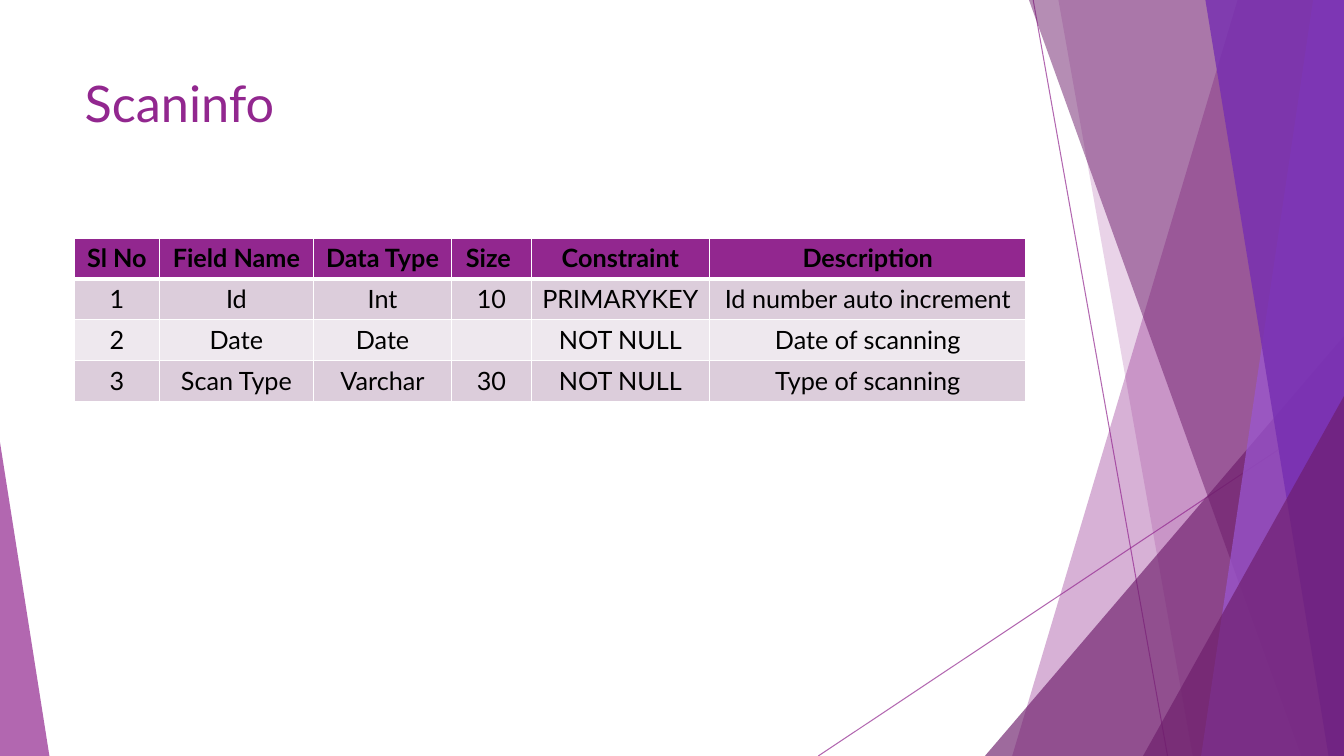
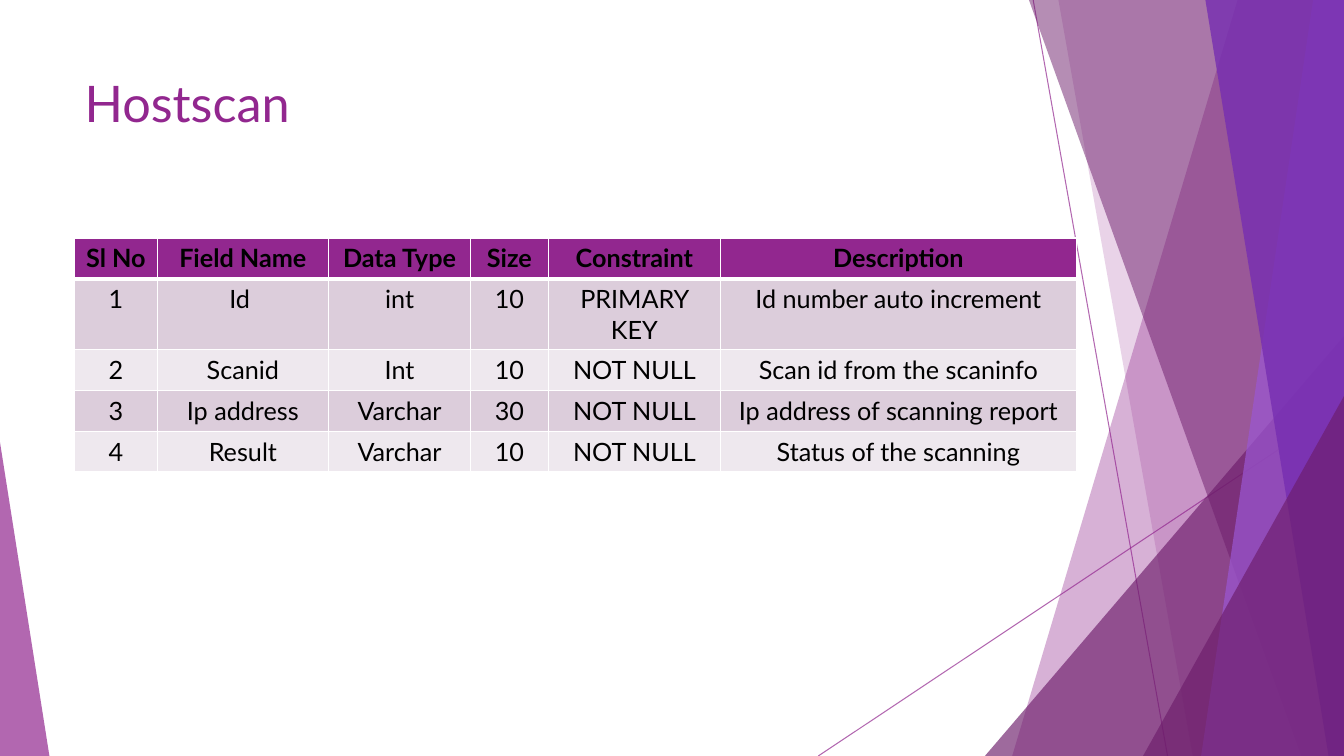
from pptx import Presentation
from pptx.dml.color import RGBColor
from pptx.enum.shapes import MSO_CONNECTOR as CONN, MSO_SHAPE as SHAPE
from pptx.enum.text import MSO_ANCHOR as ANCHOR, PP_ALIGN as ALIGN
from pptx.oxml.ns import qn
from pptx.util import Pt
from lxml.etree import SubElement

WIDTH, HEIGHT = 960, 540
LEFT = 53.3
ROW_HEIGHT = 29.2
COLORS = {
    "purple": "92278F",
    "plum": "6D1D6B",
    "lilac": "9B57D3",
    "violet": "762EB1",
    "odd_row": "DCCDDB",
    "even_row": "EEE8EE",
    "white": "FFFFFF",
    "black": "000000",
}


def rgb(name):
    """Return the named colour."""
    return RGBColor.from_string(COLORS[name])


def set_opacity(shape, percent):
    """Make every colour of the shape's fill and line partly transparent."""
    for color in shape.element.spPr.iter(qn("a:srgbClr")):
        SubElement(color, qn("a:alpha")).set("val", str(percent * 1000))


class Deck:
    """Shared style and the slide being built."""

    font = "Lato"
    title_size = 36
    cell_size = 18

    def __init__(self):
        self.prs = Presentation()
        self.prs.slide_width, self.prs.slide_height = Pt(WIDTH), Pt(HEIGHT)
        self.s = None

    def style_runs(self, p, size, color, bold=False):
        """Format all runs of a paragraph."""
        for r in p.runs:
            r.font.name, r.font.size, r.font.bold = self.font, Pt(size), bold
            r.font.color.rgb = rgb(color)

    def paint(self, sp, color, opacity):
        """Give a shape a flat translucent fill without outline or shadow."""
        sp.shadow.inherit = False
        sp.fill.solid()
        sp.fill.fore_color.rgb = rgb(color)
        sp.line.fill.background()
        set_opacity(sp, opacity)

    def thin_line(self, x1, y1, x2, y2):
        """Draw a fine translucent line."""
        line = self.s.shapes.add_connector(CONN.STRAIGHT, Pt(x1), Pt(y1), Pt(x2), Pt(y2))
        line.line.width = Pt(0.75)
        line.line.color.rgb = rgb("purple")
        set_opacity(line, 70)
        SubElement(line.element.spPr, qn("a:effectLst"))

    def band(self, top_x, bottom_x, color, opacity):
        """Fill from a slanted left edge to the right edge of the slide."""
        builder = self.s.shapes.build_freeform(Pt(top_x), 0)
        corners = [(WIDTH, 0), (WIDTH, HEIGHT), (bottom_x, HEIGHT)]
        builder.add_line_segments([(Pt(x), Pt(y)) for x, y in corners], close=True)
        self.paint(builder.convert_to_shape(), color, opacity)

    def corner(self, x, y, width, apex, color, opacity):
        """Draw a triangle standing on the bottom edge of the slide."""
        sp = self.s.shapes.add_shape(
            SHAPE.ISOSCELES_TRIANGLE, Pt(x), Pt(y), Pt(width), Pt(HEIGHT - y))
        sp.adjustments[0] = apex
        self.paint(sp, color, opacity)

    def backdrop(self):
        """Draw the facets shared by all slides, back to front."""
        self.thin_line(738, 0, 834, HEIGHT)
        self.thin_line(WIDTH, 290, 584.5, HEIGHT)
        self.band(884, 723, "purple", 36)
        self.band(756, 852, "purple", 20)
        self.corner(703.5, 240, WIDTH - 703.5, 1, "plum", 66)
        self.band(735, 929.5, "plum", 50)
        self.band(938, 858, "lilac", 70)
        self.band(861, 949, "violet", 80)
        self.corner(816.5, 283, WIDTH - 816.5, 1, "plum", 66)
        self.corner(0, 316, 35.3, 0, "purple", 70)

    def new_slide(self, title):
        """Start a slide with backdrop and title."""
        self.s = self.prs.slides.add_slide(self.prs.slide_layouts[5])
        self.backdrop()
        sp = self.s.shapes.title
        sp.left, sp.top, sp.width, sp.height = Pt(LEFT), Pt(48), Pt(677), Pt(104)
        sp.element.getparent().append(sp.element)
        tf = sp.text_frame
        tf.text = title
        tf.vertical_anchor = ANCHOR.TOP
        p = tf.paragraphs[0]
        p.alignment = ALIGN.LEFT
        self.style_runs(p, self.title_size, "purple")

    def cell(self, cell, text, row):
        """Fill one table cell; row 0 is the header."""
        widths = {"L": 1, "R": 1, "T": 3 if row == 1 else 1, "B": 3 if row == 0 else 1}
        tc_pr = cell._tc.get_or_add_tcPr()
        for side, width in widths.items():
            ln = SubElement(tc_pr, qn(f"a:ln{side}"), w=str(Pt(width)))
            fill = SubElement(ln, qn("a:solidFill"))
            SubElement(fill, qn("a:srgbClr"), val=COLORS["white"])
        cell.fill.solid()
        shade = "purple" if row == 0 else "odd_row" if row % 2 else "even_row"
        cell.fill.fore_color.rgb = rgb(shade)
        cell.text_frame.text = text
        p = cell.text_frame.paragraphs[0]
        p.alignment = ALIGN.CENTER
        self.style_runs(p, self.cell_size, "black", bold=row == 0)

    def table(self, col_widths, rows):
        """Add a table with a header row and alternating body rows."""
        table = self.s.shapes.add_table(
            len(rows), len(col_widths), Pt(LEFT), Pt(170),
            Pt(sum(col_widths)), Pt(ROW_HEIGHT * len(rows))).table
        for col, width in zip(table.columns, col_widths):
            col.width = Pt(width)
        for i, texts in enumerate(rows):
            table.rows[i].height = Pt(ROW_HEIGHT)
            for j, text in enumerate(texts):
                self.cell(table.cell(i, j), text, i)


def main():
    """Build and save both slides."""
    deck = Deck()

    deck.new_slide("Scaninfo")
    deck.table([60.5, 110.2, 98.6, 56.9, 127.4, 226], [
        ["Sl No", "Field Name", "Data Type ", "Size ", "Constraint", "Description"],
        ["1", "Id", "Int", "10", "PRIMARYKEY", "Id number auto increment"],
        ["2", "Date", "Date", "", "NOT NULL", "Date of scanning"],
        ["3", "Scan Type", "Varchar", "30", "NOT NULL", "Type of scanning"],
    ])

    deck.new_slide("Hostscan")
    deck.table([59, 122.4, 101.5, 55.4, 123.2, 254], [
        ["Sl No", "Field Name", "Data Type", "Size", "Constraint", "Description"],
        ["1", "Id ", "int", "10", "PRIMARY KEY", "Id number auto increment"],
        ["2", "Scanid", "Int", "10", "NOT NULL", "Scan id from the scaninfo"],
        ["3", "Ip address", "Varchar", "30", "NOT NULL", "Ip address of scanning report"],
        ["4", "Result", "Varchar", "10", "NOT NULL", "Status of the scanning"],
    ])

    deck.prs.save("out.pptx")


main()
